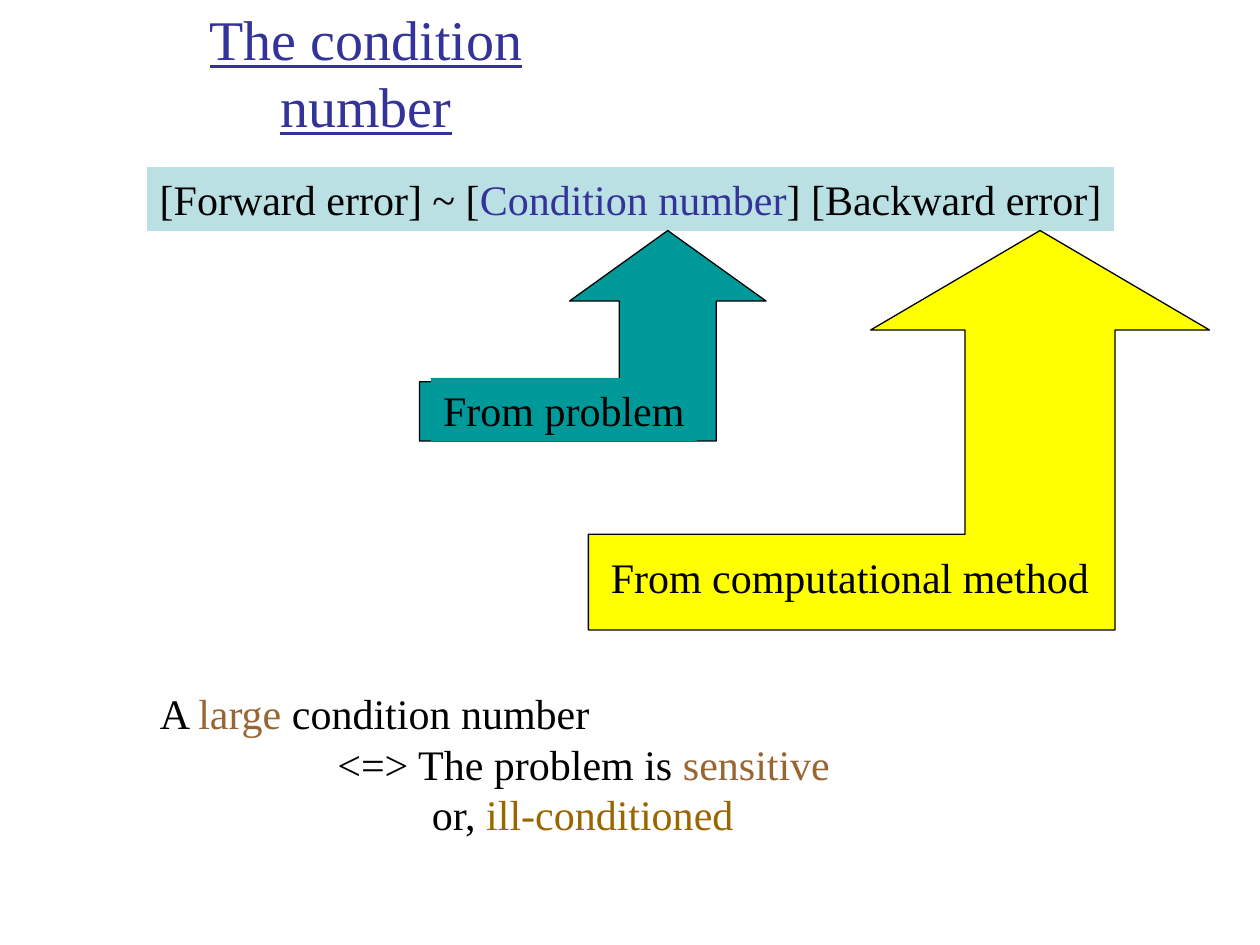
from pptx import Presentation
from pptx.dml.color import RGBColor
from pptx.enum.shapes import MSO_SHAPE
from pptx.enum.text import MSO_ANCHOR, MSO_AUTO_SIZE, PP_ALIGN
from pptx.util import Inches, Pt

RECT = MSO_SHAPE.RECTANGLE
MIDDLE = MSO_ANCHOR.MIDDLE
NO_FIT = MSO_AUTO_SIZE.NONE
LEFT, CENTER = PP_ALIGN.LEFT, PP_ALIGN.CENTER
TITLE_ONLY = 5

COLORS = {
    "black": "000000", "indigo": "333399", "pale": "BBE0E3", "yellow": "FFFF00",
    "teal": "009999", "brown": "996633", "ochre": "996600",
}


def rgb(name):
    return RGBColor.from_string(COLORS[name])


def write(sp, lines, align=CENTER, wrap=False, indents=(0,), **extra):
    """Fill a shape with lines, each a list of (text, colour) runs."""
    tf = sp.text_frame
    frame = {"word_wrap": wrap, "auto_size": NO_FIT, "vertical_anchor": MIDDLE,
             "margin_left": Inches(0.1), "margin_right": Inches(0.1),
             "margin_top": Inches(0.05), "margin_bottom": Inches(0.05)}
    for name, value in frame.items():
        setattr(tf, name, value)
    font = {"name": "Times New Roman", "size": Pt(24), **extra}
    for i, (runs, indent) in enumerate(zip(lines, indents)):
        p = tf.paragraphs[0] if i == 0 else tf.add_paragraph()
        p.alignment = align
        if indent:
            p._p.get_or_add_pPr().set("marL", str(Inches(indent)))
        for text, color in runs:
            r = p.add_run()
            r.text = text
            for name, value in font.items():
                setattr(r.font, name, value)
            r.font.color.rgb = rgb(color)


def paint(sp, fill, line=None):
    sp.shadow.inherit = False
    sp.fill.solid()
    sp.fill.fore_color.rgb = rgb(fill)
    if line:
        sp.line.color.rgb = rgb(line)
        sp.line.width = Pt(0.75)
    else:
        sp.line.fill.background()


def add_title(slide, box):
    title = slide.shapes.title
    title.left, title.top, title.width, title.height = map(Inches, box)
    write(title, [[("The condition number", "indigo")]], size=Pt(32), underline=True)


def add_label(shapes, box, runs, fill, line=None):
    sp = shapes.add_shape(RECT, *map(Inches, box))
    paint(sp, fill, line)
    write(sp, [runs])


def add_bent_arrow(slide, box, head, stem, base, fill, text, label):
    """Arrow that runs right, then up; label is a box relative to the arrow's."""
    x, y, w, h = box
    head_w, head_h = head
    tip = x + w - head_w / 2
    stem_l, stem_r = tip - stem / 2, tip + stem / 2
    neck, shelf, bottom = y + head_h, y + h - base, y + h
    points = [(x, shelf), (stem_l, shelf), (stem_l, neck), (x + w - head_w, neck),
              (tip, y), (x + w, neck), (stem_r, neck), (stem_r, bottom), (x, bottom)]
    points = [(Inches(px), Inches(py)) for px, py in points]

    group = slide.shapes.add_group_shape()
    builder = group.shapes.build_freeform(*points[0])
    builder.add_line_segments(points[1:], close=True)
    paint(builder.convert_to_shape(), fill, "black")
    dx, dy, label_w, label_h = label
    add_label(group.shapes, (x + dx, y + dy, label_w, label_h), [(text, "black")], fill)


def add_conclusion(slide, box):
    sp = slide.shapes.add_textbox(*map(Inches, box))
    lines = [
        [("A ", "black"), ("large", "brown"), (" condition number", "black")],
        [("<=> The problem is ", "black"), ("sensitive", "brown")],
        [("or, ", "black"), ("ill-conditioned", "ochre")],
    ]
    write(sp, lines, align=LEFT, wrap=True, indents=(0, 1.41, 2.16))


def main():
    prs = Presentation()
    prs.slide_width, prs.slide_height = Inches(10), Inches(7.5)
    slide = prs.slides.add_slide(prs.slide_layouts[TITLE_ONLY])

    add_title(slide, (0.83, 0.25, 4.15, 0.64))
    add_label(slide.shapes, (1.17, 1.33, 7.67, 0.5),
              [("[Forward error] ~ [", "black"), ("Condition number", "indigo"),
               ("] [Backward error]", "black")], "pale", "pale")
    add_conclusion(slide, (1.17, 5.21, 5.53, 1.7))
    add_bent_arrow(slide, (4.67, 1.83, 4.93, 3.17), head=(2.69, 0.79), stem=1.19,
                   base=0.76, fill="yellow", text="From computational method",
                   label=(0.08, 2.5, 3.99, 0.5))
    add_bent_arrow(slide, (3.33, 1.83, 2.75, 1.67), head=(1.56, 0.56), stem=0.77,
                   base=0.47, fill="teal", text="From problem",
                   label=(0.09, 1.17, 2.11, 0.5))
    prs.save("out.pptx")


if __name__ == "__main__":
    main()
